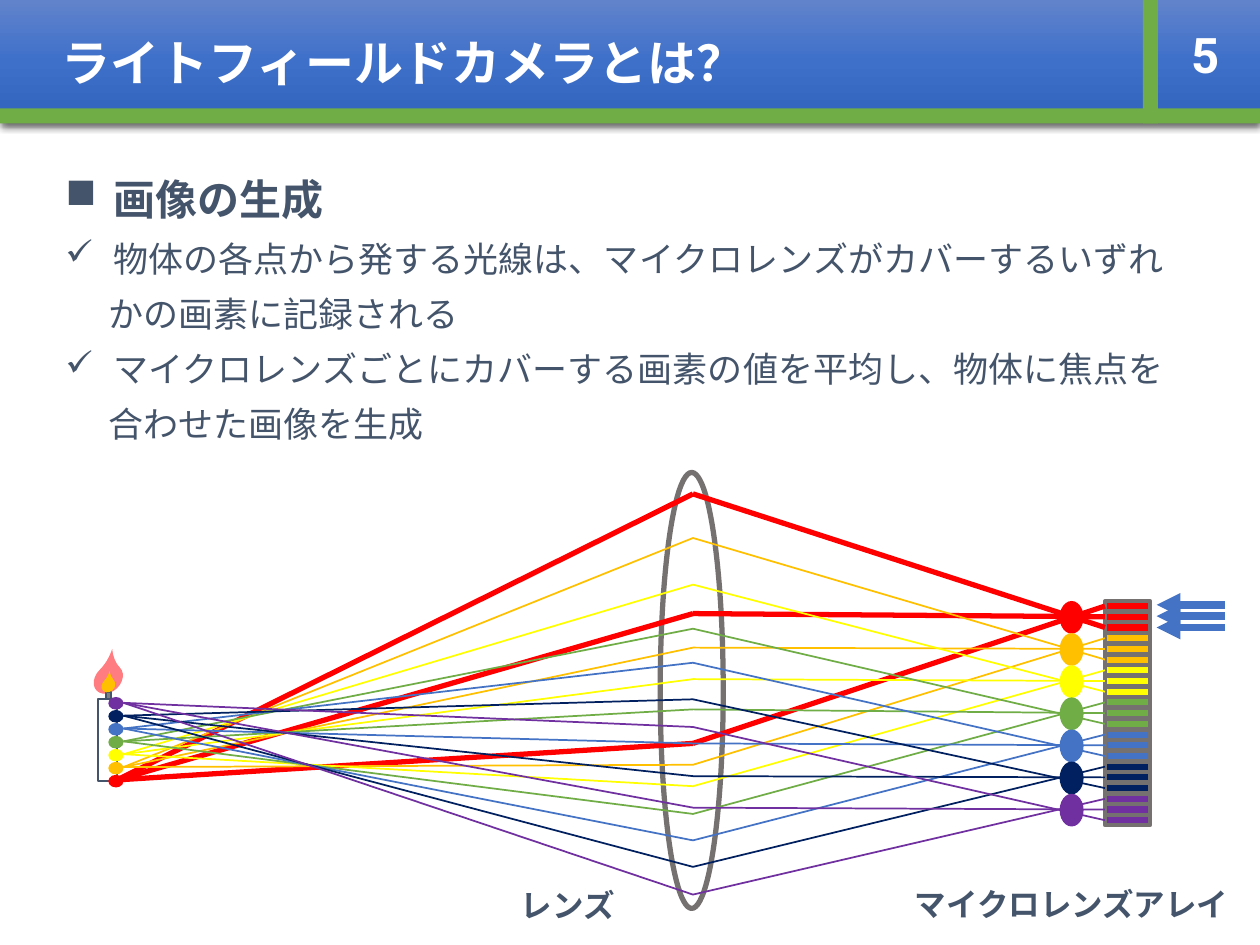
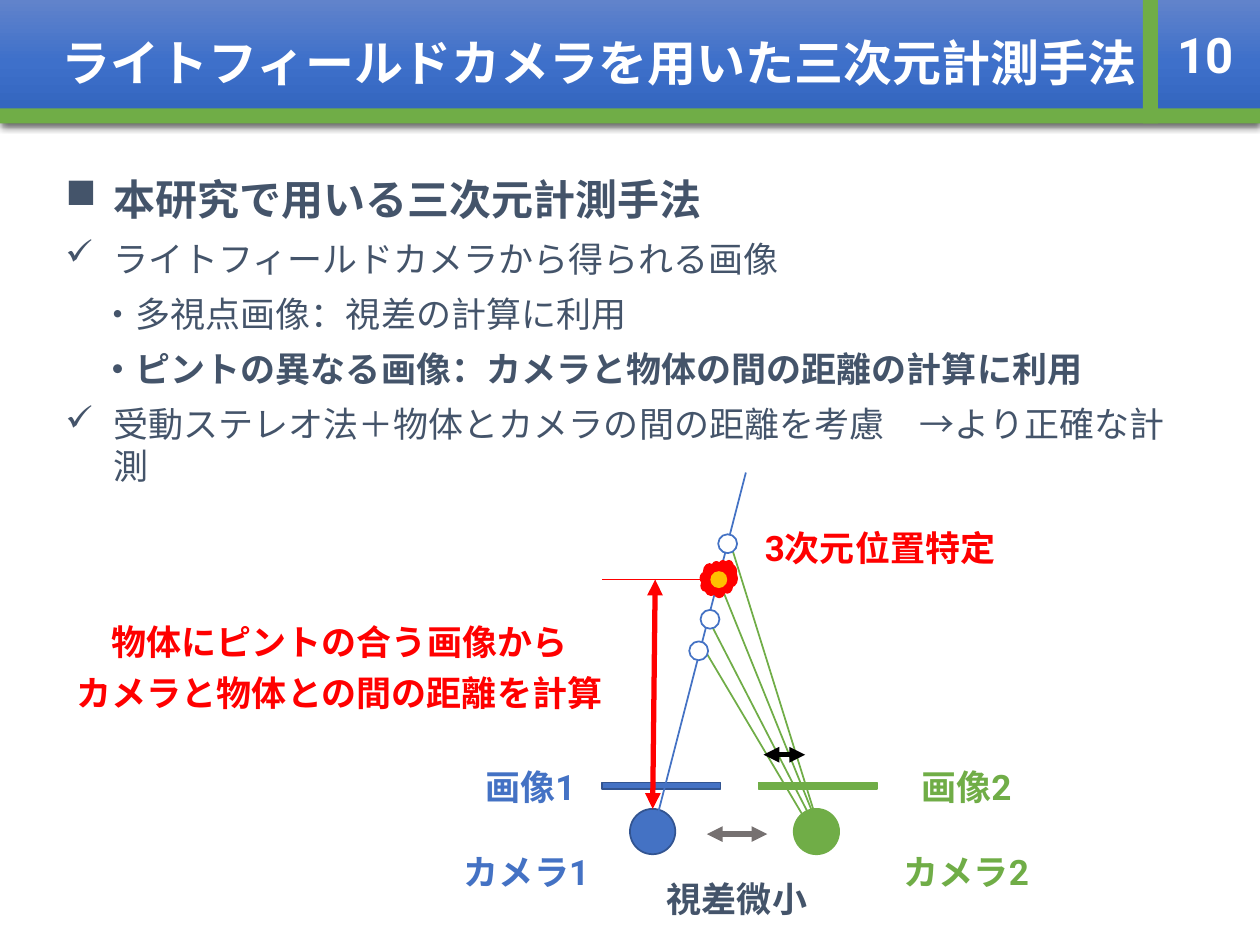
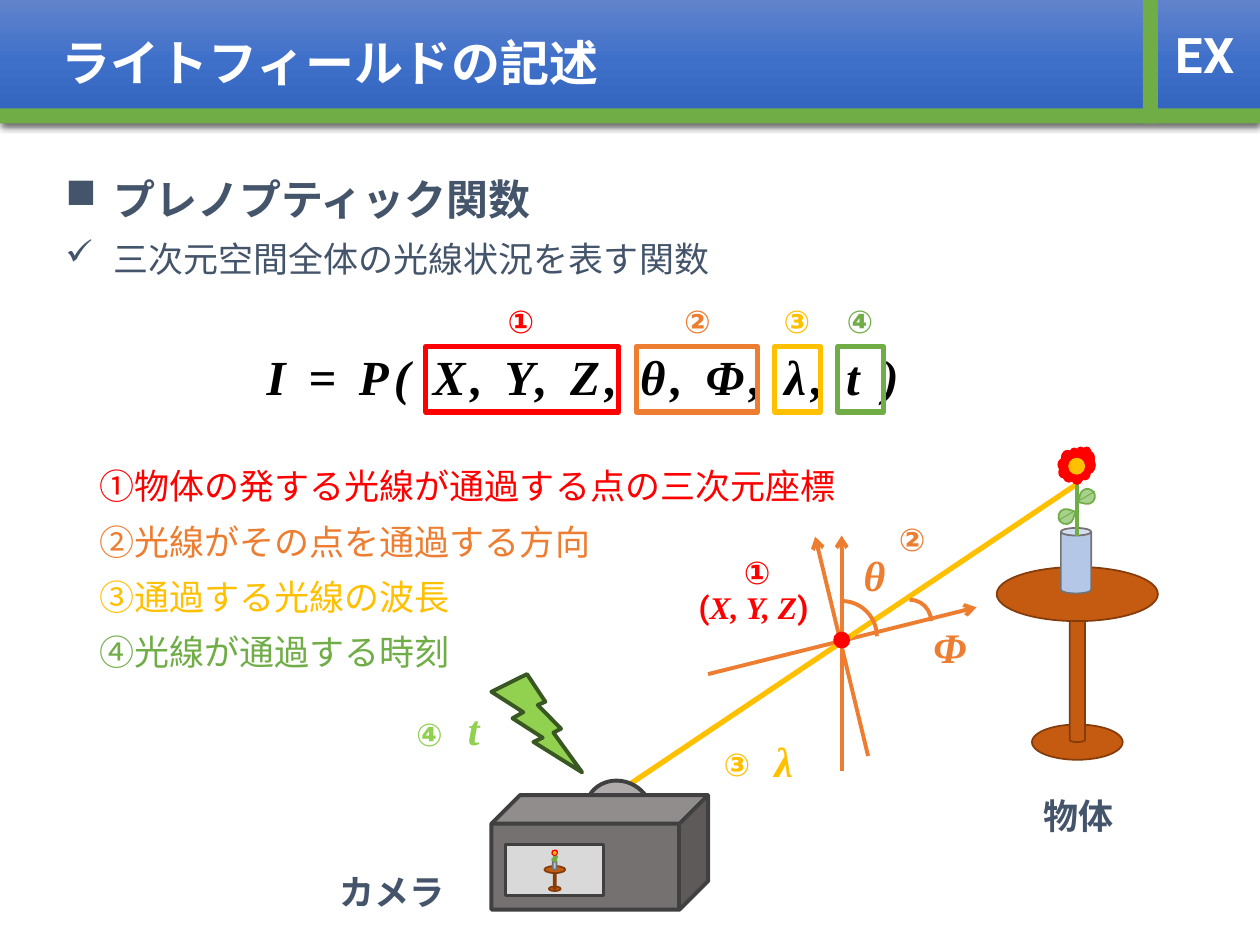
from copy import deepcopy
from dataclasses import dataclass

from lxml import etree
from pptx import Presentation
from pptx.dml.color import RGBColor
from pptx.enum.shapes import MSO_CONNECTOR, MSO_SHAPE as S
from pptx.enum.text import MSO_ANCHOR, PP_ALIGN
from pptx.oxml.ns import qn
from pptx.util import Inches, Pt

COLORS = {
    "white": "FFFFFF", "black": "000000", "ink": "44546A", "gray": "767171",
    "red": "FF0000", "amber": "FFC000", "yellow": "FFFF00", "green": "70AD47",
    "blue": "4472C4", "navy": "002060", "purple": "7030A0", "orange": "ED7D31",
    "lime": "92D050", "wood": "C55A11", "wood_edge": "843C0B", "glass": "B4C7E7",
    "leaf": "A9D18E", "flame": "FF7C80", "wick": "808080", "blue_edge": "325491",
    "bolt_edge": "385723", "dark": "404040", "dome": "AFABAB", "screen": "D9D9D9",
    "band_top": "6183CB", "band_mid": "3E70CA", "band_low": "3062BB",
}
SANS, SERIF = "Roboto", "Times New Roman"


def rgb(name):
    """Return the colour with the given name."""
    return RGBColor.from_string(COLORS[name])


def sub(parent, tag, **attributes):
    """Append a drawing element to its parent."""
    return etree.SubElement(parent, qn(tag), {k: str(v) for k, v in attributes.items()})


@dataclass
class Run:
    """Text with its character format."""
    text: str
    size: float = 20
    color: str = "ink"
    bold: bool = True
    italic: bool = False
    font: str = SANS
    tracking: int = 0

    def add_to(self, paragraph):
        """Add this run to a paragraph."""
        run = paragraph.add_run()
        run.text = self.text
        run.font.size, run.font.name = Pt(self.size), self.font
        run.font.bold, run.font.italic = self.bold, self.italic
        run.font.color.rgb = rgb(self.color)
        sub(run.font._element, "a:ea", typeface=self.font)
        if self.tracking:
            run.font._element.set("spc", str(self.tracking * 100))


@dataclass
class Para:
    """Runs with their paragraph format."""
    runs: list
    centred: bool = False
    spacing: float = 1
    before: float = 7.5
    bullet: str = ""
    margin: float = 0

    def add_to(self, paragraph):
        """Format a paragraph and fill it with the runs."""
        paragraph.alignment = PP_ALIGN.CENTER if self.centred else PP_ALIGN.LEFT
        paragraph.line_spacing = self.spacing
        paragraph.space_before = Pt(self.before)
        props = paragraph._p.get_or_add_pPr()
        props.set("marL", str(Inches(self.margin)))
        props.set("indent", str(-Inches(self.margin) if self.bullet else 0))
        if self.bullet:
            sub(props, "a:buChar", char=self.bullet)
        for run in self.runs:
            run.add_to(paragraph)


def write(shape, paras, anchor=MSO_ANCHOR.TOP):
    """Write paragraphs into a shape."""
    frame = shape.text_frame
    frame.word_wrap, frame.vertical_anchor = True, anchor
    for i, para in enumerate(paras):
        para.add_to(frame.add_paragraph() if i else frame.paragraphs[0])


@dataclass
class Box:
    """A region of a slide that places parts from its own corner."""
    slide: object
    left: float = 0
    top: float = 0
    scale: float = 1

    def place(self, x, y):
        """Turn a local point into slide lengths."""
        return Inches(self.left + x * self.scale), Inches(self.top + y * self.scale)

    def shape(self, kind, x, y, w, h, fill=None, line=None, weight=1, rotation=0):
        """Draw a preset shape."""
        shape = self.slide.shapes.add_shape(
            kind, *self.place(x, y), Inches(w * self.scale), Inches(h * self.scale))
        shape.shadow.inherit = False
        shape.rotation = rotation
        if fill:
            shape.fill.solid()
            shape.fill.fore_color.rgb = rgb(fill)
        else:
            shape.fill.background()
        if line:
            shape.line.color.rgb, shape.line.width = rgb(line), Pt(weight)
        else:
            shape.line.fill.background()
        return shape

    def line(self, start, end, color, weight=1, head=None, tail=None):
        """Draw a straight line with optional arrowheads."""
        line = self.slide.shapes.add_connector(
            MSO_CONNECTOR.STRAIGHT, *self.place(*start), *self.place(*end))
        line.line.color.rgb, line.line.width = rgb(color), Pt(weight)
        outline = line.line._get_or_add_ln()
        for tag, kind in (("a:headEnd", head), ("a:tailEnd", tail)):
            if kind:
                sub(outline, tag, type=kind)
        sub(line._element.spPr, "a:effectLst")

    def text(self, x, y, w, h, paras, anchor=MSO_ANCHOR.TOP):
        """Add a text box."""
        box = self.slide.shapes.add_textbox(*self.place(x, y), Inches(w), Inches(h))
        write(box, paras, anchor)

    def label(self, x, y, w, h, *texts, spacing=0.9, before=7.5, **style):
        """Add centred lines of one style."""
        self.text(x, y, w, h, [Para([Run(t, **style)], True, spacing, before) for t in texts])


def header(box, title, number):
    """Draw the title band with its page mark."""
    band = box.shape(S.RECTANGLE, 0, 0, 10, 0.98, "blue")
    band.fill.gradient()
    band.fill.gradient_angle = 270
    props = band._element.spPr
    stops = props.find(".//" + qn("a:gsLst"))
    stops.insert(1, deepcopy(stops[0]))
    for i, (stop, name) in enumerate(zip(band.fill.gradient_stops, ("band_top", "band_mid", "band_low"))):
        stop.position, stop.color.rgb = i / 2, rgb(name)
    shadow = sub(props.find(qn("a:effectLst")), "a:outerShdw", blurRad=Pt(4.5),
                 dist=Pt(1.5), dir=5400000, algn="t", rotWithShape=0)
    sub(sub(shadow, "a:srgbClr", val=COLORS["black"]), "a:alpha", val=63000)
    style = {"size": 28, "color": "white"}
    write(band, [Para([Run(title, **style)], before=0, margin=0.39)], MSO_ANCHOR.MIDDLE)
    box.shape(S.RECTANGLE, 0, 0.86, 10, 0.12, "green")
    box.text(9.13, 0, 0.87, 0.86, [Para([Run(number, **style)], True, before=0)], MSO_ANCHOR.MIDDLE)
    box.shape(S.RECTANGLE, 9.07, 0, 0.12, 0.98, "green")


def check(text):
    """Return a ticked item."""
    return Para([Run(text, bold=False)], bullet="✓", margin=0.38)


def detail(text, margin, bold=False):
    """Return an indented line under an item."""
    return Para([Run(text, bold=bold)], margin=margin)


def body(box, height, heading, *items):
    """Write the heading and the items under it."""
    title = Para([Run(heading, size=24)], spacing=0.9, bullet="■", margin=0.38)
    box.text(0, 0, 9.15, height, [title, *items])


def candle(box):
    """Draw a candle with a flame."""
    box.shape(S.RECTANGLE, 0.05, 0.26, 0.15, 0.65, "white", "ink")
    outer = box.shape(S.TEAR, 0, 0, 0.26, 0.2, "flame", rotation=315)
    box.shape(S.RECTANGLE, 0.11, 0.2, 0.04, 0.06, "wick", "ink")
    inner = box.shape(S.TEAR, 0.07, 0.1, 0.12, 0.1, "amber", rotation=315)
    for drop in (outer, inner):
        drop.adjustments[0] = 1.476


def light_paths(box):
    """Trace rays from the candle through the lens to the sensor."""
    lens_hits = {
        "red": (0.42, 1.37, 2.4), "amber": (0.77, 1.64, 2.57),
        "yellow": (1.14, 1.89, 2.74), "green": (1.49, 2.13, 2.96),
        "blue": (1.76, 2.4, 3.17), "navy": (2.05, 2.66, 3.38),
        "purple": (2.27, 2.91, 3.6),
    }
    pixel, first = 0.085, 1.27
    candle(Box(box.slide, box.left + 0.73, box.top + 1.79))
    for i, color in enumerate(lens_hits):
        for j in range(3):
            box.shape(S.RECTANGLE, 8.77, first + (3 * i + j) * pixel, 0.36, 0.08, color, "gray", 2.25)
        box.shape(S.OVAL, 8.41, first + 3 * i * pixel, 0.19, 0.26, color)
        box.shape(S.OVAL, 0.86, 2.65 - i * 0.103, 0.12, 0.1, color)
    box.shape(S.OVAL, 5.24, 0.25, 0.5, 3.46, line="gray", weight=3)
    for i, (color, hits) in enumerate(lens_hits.items()):
        start = (0.98 if i else 0.93, 2.69 - i * 0.102)
        weight = 1 if i else 3
        for j, y in enumerate(hits):
            box.line(start, (5.5, y), color, weight)
            box.line((8.77, first + 0.04 + (3 * i + 2 - j) * pixel), (5.5, y), color, weight)
    for j in range(3):
        y = 1.3 + j * 0.09
        box.line((9.72, y), (9.18, y), "blue", 4.5, tail="triangle")
    box.label(2.91, 3.52, 3.19, 0.49, "レンズ", size=18)
    box.label(6.91, 3.51, 3.19, 0.49, "マイクロレンズアレイ", size=18)


def flower(box):
    """Draw a flower head."""
    box.shape(S.CLOUD, 0, 0, 0.29, 0.29, "red", "red")
    box.shape(S.OVAL, 0.085, 0.09, 0.12, 0.12, "amber", "amber")


def stereo(box):
    """Draw two cameras that look at one flower."""
    for i, (color, edge, image_x, label_x) in enumerate(
            (("blue", "blue_edge", 4.78, 3.15), ("green", "green", 6.02, 6.64))):
        box.shape(S.RECTANGLE, image_x, 2.71, 0.94, 0.05, color, edge)
        box.shape(S.OVAL, 5 + 1.3 * i, 2.92, 0.36, 0.36, color, edge)
        box.label(label_x, 3.24, 2.06, 0.55, f"カメラ{i + 1}", color=color)
        box.label(label_x + (0 if i else 0.03), 2.56, 2.06, 0.55, f"画像{i + 1}", color=color)
    box.line((5.92, 0.25), (5.18, 3.12), "blue")
    for start, end in (((5.57, 1.62), (6.46, 3.12)), ((5.63, 1.43), (6.49, 3.1)),
                       ((5.71, 1.12), (6.51, 3.1)), ((5.79, 0.79), (6.51, 3.1))):
        box.line(start, end, "green")
    for x, y in ((5.47, 1.59), (5.56, 1.34), (5.7, 0.74)):
        box.shape(S.OVAL, x, y, 0.15, 0.15, "white", "blue")
    both = {"head": "triangle", "tail": "triangle"}
    box.line((6.06, 2.49), (6.39, 2.49), "black", 3, **both)
    box.line((5.7, 1.1), (4.78, 1.1), "red", 0.5)
    flower(Box(box.slide, box.left + 5.56, box.top + 0.95))
    box.line((5.2, 1.1), (5.18, 2.92), "red", 3, **both)
    box.line((5.61, 3.12), (6.09, 3.12), "gray", 3, **both)
    box.label(4.82, 3.45, 2.06, 0.55, "視差微小")
    box.label(0.33, 1.41, 4.73, 1.62, "物体にピントの合う画像から", "カメラと物体との間の距離を計算", color="red")
    box.label(5.72, 0.67, 2.53, 0.55, "3次元位置特定", color="red")


def formula(box):
    """Write the function with a numbered frame on each group of variables."""
    box.label(0, 0.4, 7.24, 0.63, "I = P( X, Y, Z, θ, Φ, λ, t )", size=28, color="black",
              italic=True, font=SERIF, tracking=3)
    for mark, color, x, width, mark_x in (
            ("①", "red", 2.37, 1.53, 2.76), ("②", "orange", 4.04, 0.96, 4.16),
            ("③", "amber", 5.14, 0.36, 4.95), ("④", "green", 5.64, 0.36, 5.45)):
        box.label(mark_x, 0, 0.73, 0.4, mark, spacing=1, before=0, size=18, color=color)
        box.shape(S.RECTANGLE, x, 0.4, width, 0.52, line=color, weight=3)


def legend(box):
    """Explain the numbered groups."""
    box.text(0, 0, 9.27, 2.02, [
        Para([Run(text, color=color, bold=False)]) for text, color in (
            ("①物体の発する光線が通過する点の三次元座標", "red"),
            ("②光線がその点を通過する方向", "orange"),
            ("③通過する光線の波長", "amber"),
            ("④光線が通過する時刻", "green"))])


def plant_table(box):
    """Draw a table with a flower in a vase."""
    wood = ("wood", "wood_edge")
    box.shape(S.OVAL, 0.28, 2.2, 0.72, 0.28, *wood)
    box.shape(S.CAN, 0.58, 1.16, 0.12, 1.18, *wood)
    box.shape(S.OVAL, 0, 0.95, 1.28, 0.43, *wood)
    box.shape(S.CAN, 0.51, 0.64, 0.24, 0.52, "glass", "gray")
    box.line((0.64, 0.17), (0.64, 0.7), "green", 2.25)
    for x, y, turn in ((0.49, 0.49, 17.4), (0.66, 0.33, 192)):
        box.shape(S.TEAR, x, y, 0.12, 0.12, "leaf", "green", rotation=turn)
        box.line((x + 0.12, y + 0.02), (x, y + 0.09), "green", 0.5)
    flower(Box(box.slide, box.left + 0.49 * box.scale, box.top, box.scale))


def camera(box):
    """Draw a camera that shows the plant on its screen."""
    box.shape(S.OVAL, 0.76, 0, 0.5, 0.54, "dome", "dark", 2.25, 299.2)
    box.shape(S.CUBE, 0, 0.13, 1.72, 0.91, "gray", "dark", 2.25)
    box.shape(S.RECTANGLE, 0.11, 0.52, 0.78, 0.41, "screen", "dark", 1.5)
    plant_table(Box(box.slide, box.left + 0.42, box.top + 0.57, 0.13))


def ray_scene(box):
    """Draw the ray with its point, direction, wavelength and time."""
    box.line((4.68, 2.62), (4.68, 0.75), "orange", 2.25, tail="arrow")
    box.line((3.62, 1.85), (5.75, 1.32), "orange", 2.25, tail="arrow")
    box.line((4.47, 0.76), (4.89, 2.5), "orange", 2.25, head="arrow")
    box.line((6.55, 0.34), (2.87, 2.81), "amber", 3)
    box.shape(S.LIGHTNING_BOLT, 1.9, 1.85, 0.72, 0.78, "lime", "bolt_edge", 2.25)
    box.shape(S.OVAL, 4.62, 1.52, 0.12, 0.12, "red", "red")
    box.shape(S.ARC, 4.4, 1.27, 0.56, 0.56, line="orange", weight=2.25)
    box.shape(S.ARC, 5.05, 1.26, 0.34, 0.34, line="orange", weight=2.25)
    red = {"size": 18, "color": "red"}
    box.text(3.24, 1.15, 1.48, 0.49, [Para(
        [Run("(", **red), Run("X, Y, Z", italic=True, font=SERIF, **red), Run(")", **red)], True, 0.9)])
    for symbol, color, x, y in (("θ", "orange", 4.2, 0.86), ("Φ", "orange", 4.8, 1.43),
                                ("λ", "amber", 3.48, 2.33), ("t", "lime", 1.02, 2.08)):
        box.label(x, y, 1.48, 0.49, symbol, size=24, color=color, italic=True, font=SERIF)
    for mark, color, x, y in (("①", "red", 2.98, 0.87), ("②", "orange", 4.21, 0.61),
                              ("③", "amber", 2.82, 2.4), ("④", "lime", 0.38, 2.16)):
        box.label(x, y, 2.06, 0.55, mark, size=18, color=color)
    box.label(0.08, 3.4, 2.06, 0.55, "カメラ")
    box.label(5.53, 2.79, 2.06, 0.55, "物体")


def new_slide(deck, title, number):
    """Add a blank slide with the shared header."""
    slide = deck.slides.add_slide(deck.slide_layouts[6])
    header(Box(slide), title, number)
    return slide


def main():
    """Build the deck."""
    deck = Presentation()
    deck.slide_width, deck.slide_height = Inches(10), Inches(7.5)

    slide = new_slide(deck, "ライトフィールドカメラとは？", "5")
    light_paths(Box(slide, 0, 3.5))
    body(Box(slide, 0.42, 1.37), 2.71, "画像の生成",
         check("物体の各点から発する光線は、マイクロレンズがカバーするいずれ"),
         detail("かの画素に記録される", 0.34),
         check("マイクロレンズごとにカバーする画素の値を平均し、物体に焦点を"),
         detail("合わせた画像を生成", 0.34))

    slide = new_slide(deck, "ライトフィールドカメラを用いた三次元計測手法", "10")
    body(Box(slide, 0.42, 1.37), 2.54, "本研究で用いる三次元計測手法",
         check("ライトフィールドカメラから得られる画像"),
         detail("・多視点画像：視差の計算に利用", 0.28),
         detail("・ピントの異なる画像：カメラと物体の間の距離の計算に利用", 0.28, True),
         check("受動ステレオ法＋物体とカメラの間の距離を考慮　→より正確な計測"))
    stereo(Box(slide, 0, 3.5))

    slide = new_slide(deck, "ライトフィールドの記述", "EX")
    body(Box(slide, 0.42, 1.37), 2.69, "プレノプティック関数",
         check("三次元空間全体の光線状況を表す関数"))
    legend(Box(slide, 0.69, 3.64))
    formula(Box(slide, 1.01, 2.35))
    ray_scene(Box(slide, 2, 3.5))
    plant_table(Box(slide, 7.91, 3.55))
    camera(Box(slide, 3.9, 6.18))
    deck.save("out.pptx")


main()
